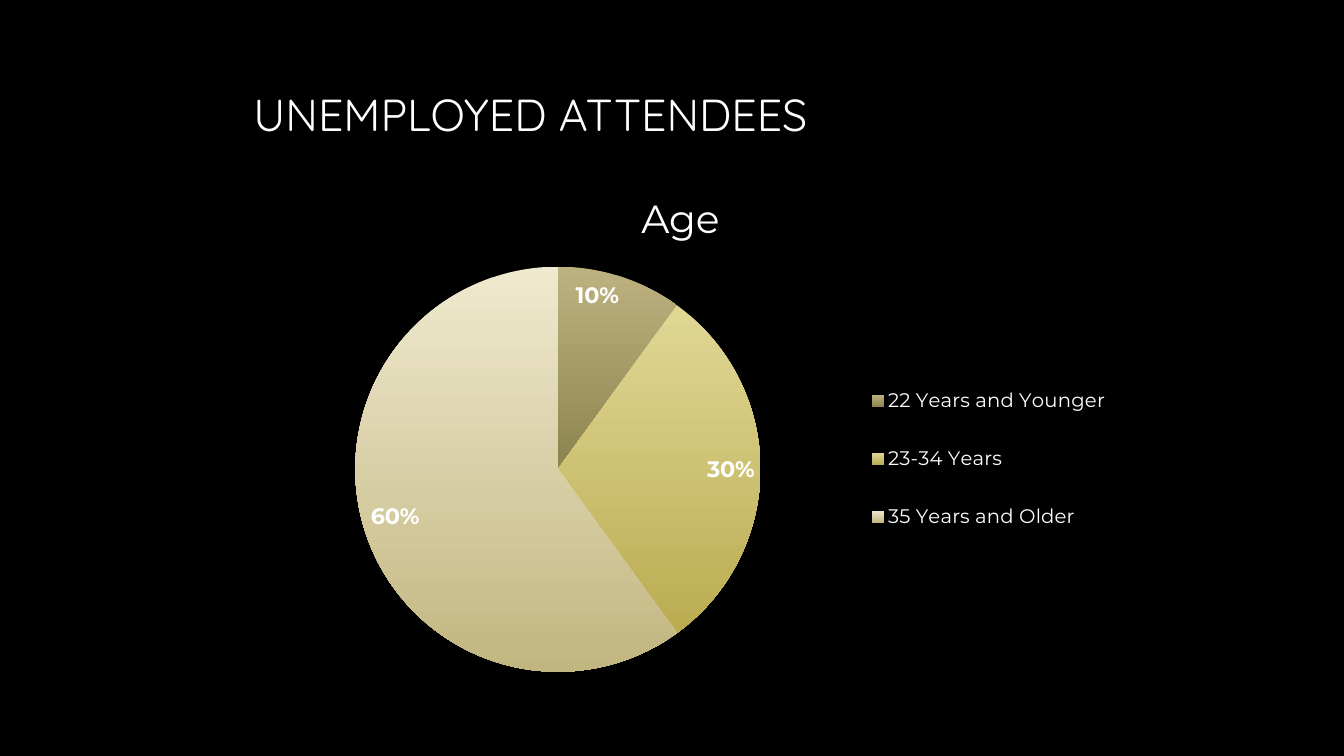
from dataclasses import dataclass

from lxml.etree import SubElement
from pptx import Presentation
from pptx.chart.data import CategoryChartData
from pptx.dml.color import RGBColor
from pptx.enum.chart import XL_CHART_TYPE, XL_LABEL_POSITION, XL_LEGEND_POSITION
from pptx.enum.text import MSO_ANCHOR
from pptx.oxml.ns import qn
from pptx.util import Pt


@dataclass(frozen=True)
class Theme:
    background: str = "000000"
    text: str = "FFFFFF"
    heading_font: str = "Quicksand"
    chart_font: str = "Montserrat"
    heading_size: int = 32
    chart_title_size: int = 28
    chart_size: int = 18
    label_size: int = 16
    legend_size: int = 14
    slice_gradients: tuple = (("BDB27F", "8C844F"), ("E0D795", "BBAC51"), ("EFE9CF", "C2B680"))


THEME = Theme()
AGE_SHARES = {"22 Years and Younger": 0.1, "23-34 Years": 0.3, "35 Years and Older": 0.6}


def style_font(font, name, size, bold=False):
    font.name = name
    font.size = Pt(size)
    font.bold = bold
    font.color.rgb = RGBColor.from_string(THEME.text)


def set_layout(element, following_tag, **fractions):
    """Place a chart part by fractions of the chart box, just before the following tag."""
    for old_layout in element.findall(qn("c:layout")):
        element.remove(old_layout)
    layout = SubElement(element, qn("c:layout"))
    manual = SubElement(layout, qn("c:manualLayout"))
    if following_tag == "c:pieChart":
        SubElement(manual, qn("c:layoutTarget")).set("val", "inner")
    for mode in ("xMode", "yMode"):
        SubElement(manual, qn(f"c:{mode}")).set("val", "edge")
    for name, value in fractions.items():
        SubElement(manual, qn(f"c:{name}")).set("val", str(value))
    element.find(qn(following_tag)).addprevious(layout)


def add_heading(slide, left, top, width, height):
    text_frame = slide.shapes.add_textbox(Pt(left), Pt(top), Pt(width), Pt(height)).text_frame
    text_frame.word_wrap = True
    text_frame.vertical_anchor = MSO_ANCHOR.MIDDLE
    text_frame.text = "UNEMPLOYED ATTENDEES"
    style_font(text_frame.paragraphs[0].runs[0].font, THEME.heading_font, THEME.heading_size)


def add_age_chart(slide, left, top, width, height):
    data = CategoryChartData(number_format="0%")
    data.categories = list(AGE_SHARES)
    data.add_series("Age", list(AGE_SHARES.values()))
    chart = slide.shapes.add_chart(
        XL_CHART_TYPE.PIE, Pt(left), Pt(top), Pt(width), Pt(height), data
    ).chart
    style_font(chart.font, THEME.heading_font, THEME.chart_size)

    chart.has_title = True
    title_frame = chart.chart_title.text_frame
    title_frame.text = "Age"
    style_font(title_frame.paragraphs[0].runs[0].font, THEME.chart_font, THEME.chart_title_size)
    chart.chart_title.include_in_layout = False

    chart.has_legend = True
    legend = chart.legend
    legend.position = XL_LEGEND_POSITION.RIGHT
    legend.include_in_layout = False
    style_font(legend.font, THEME.chart_font, THEME.legend_size)

    plot = chart.plots[0]
    plot.vary_by_categories = True
    for index, gradient in enumerate(THEME.slice_gradients):
        fill = plot.series[0].points[index].format.fill
        fill.gradient()
        fill.gradient_angle = 270
        for stop, color in zip(fill.gradient_stops, gradient):
            stop.color.rgb = RGBColor.from_string(color)

    labels = plot.series[0].data_labels
    labels.show_value = True
    labels.number_format = "0%"
    labels.number_format_is_linked = False
    labels.position = XL_LABEL_POSITION.INSIDE_END
    style_font(labels.font, THEME.chart_font, THEME.label_size, bold=True)

    plot_area = chart.element.find(f".//{qn('c:plotArea')}")
    set_layout(plot_area, "c:pieChart", x=0.14, y=0.19, w=0.45, h=0.78)
    legend_element = chart.element.find(f".//{qn('c:legend')}")
    set_layout(legend_element, "c:overlay", x=0.69, y=0.36, w=0.3, h=0.4)


def build_age_slide(presentation):
    slide = presentation.slides.add_slide(presentation.slide_layouts[6])
    slide.background.fill.solid()
    slide.background.fill.fore_color.rgb = RGBColor.from_string(THEME.background)
    add_heading(slide, 174, 36, 576, 91)
    add_age_chart(slide, 162, 120, 648, 371)


def main():
    presentation = Presentation()
    presentation.slide_width = Pt(960)
    presentation.slide_height = Pt(540)
    build_age_slide(presentation)
    presentation.save("out.pptx")


if __name__ == "__main__":
    main()
